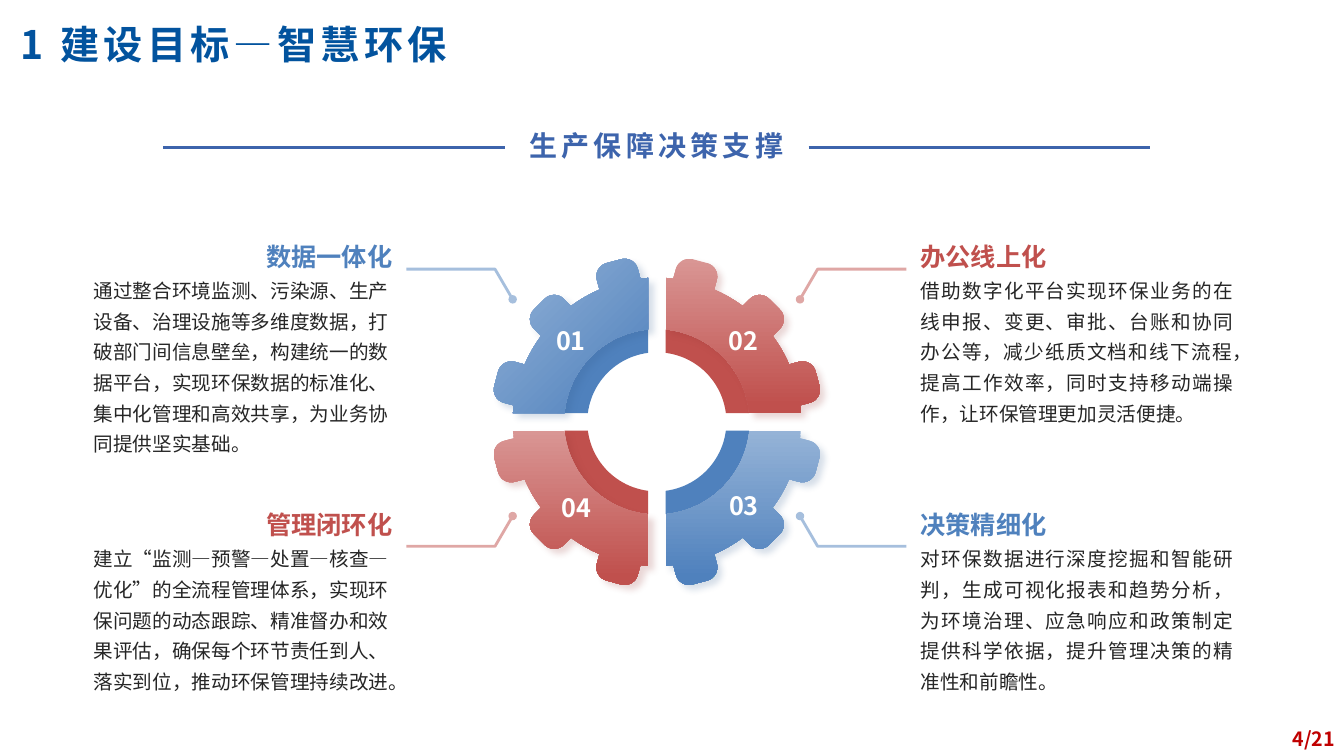
from math import asin, cos, pi, radians, sin

from lxml.etree import SubElement
from pptx import Presentation
from pptx.dml.color import RGBColor
from pptx.enum.shapes import MSO_CONNECTOR
from pptx.enum.text import MSO_ANCHOR, MSO_AUTO_SIZE, PP_ALIGN
from pptx.oxml.ns import qn
from pptx.util import Inches, Pt

FONT = "Noto Sans CJK SC"
NAVY, INDIGO, PAGE_RED, INK, WHITE = "02539E", "3D64AC", "C00000", "262626", "FFFFFF"
BLUE = {"main": "4F81BD", "light": "95B3D7", "shadow": "376092"}
RED = {"main": "C0504D", "light": "D99694", "shadow": "953735"}

GEAR_CENTER = (65.15, 41.85)
LEADER_CENTER = (65.1, 40.45)
HALF_GAP = 0.87
HUB, RIM, BODY, TIP = 6.9, 9.2, 14.3, 16.5
TOOTH_HALF, TOOTH_ROUND = 2.1, 1.35

THEMES = [
    (-1, -1, BLUE, "01", 45, (1, 1.2, 1, 0.4), "数据一体化",
     "通过整合环境监测、污染源、生产设备、治理设施等多维度数据，打破部门间信息壁垒，构建统一的数据平台，实现环保数据的标准化、集中化管理和高效共享，为业务协同提供坚实基础。"),
    (1, -1, RED, "02", 90, (1, 1.2, 0.8, 0.4), "办公线上化",
     "借助数字化平台实现环保业务的在线申报、变更、审批、台账和协同办公等，减少纸质文档和线下流程，提高工作效率，同时支持移动端操作，让环保管理更加灵活便捷。"),
    (1, 1, BLUE, "03", 90, (1.2, 1.2, 1, 1.6), "决策精细化",
     "对环保数据进行深度挖掘和智能研判，生成可视化报表和趋势分析，为环境治理、应急响应和政策制定提供科学依据，提升管理决策的精准性和前瞻性。"),
    (-1, 1, RED, "04", 90, (2, 0.4, 1, 0.4), "管理闭环化",
     "建立“监测—预警—处置—核查—优化”的全流程管理体系，实现环保问题的动态跟踪、精准督办和效果评估，确保每个环节责任到人、落实到位，推动环保管理持续改进。"),
]


def color(hex_string):
    return RGBColor.from_string(hex_string)


def cells(count):
    return Inches(count / 10)


def arc(radius, start, end, steps=24):
    angles = [start + (end - start) * i / steps for i in range(steps + 1)]
    return [(radius * cos(a), radius * sin(a)) for a in angles]


def quarter_arc(radius):
    trim = asin(HALF_GAP / radius)
    return arc(radius, trim, pi / 2 - trim)


def tooth(angle):
    shoulder = TIP - TOOTH_ROUND
    flat = TOOTH_HALF - TOOTH_ROUND
    rounding = arc(TOOTH_ROUND, -pi / 2, 0, 8)
    half = [(BODY - 0.15, -TOOTH_HALF)]
    half += [(shoulder + u, v - flat) for u, v in rounding]
    profile = half + [(u, -v) for u, v in reversed(half)]
    return [(u * cos(angle) - v * sin(angle), u * sin(angle) + v * cos(angle))
            for u, v in profile]


def gear_outline():
    trim = asin(HALF_GAP / BODY)
    half_tooth = asin(TOOTH_HALF / BODY)
    outline, start = [], trim
    for degrees in (15, 45, 75):
        angle = radians(degrees)
        outline += arc(BODY, start, angle - half_tooth, 4) + tooth(angle)
        start = angle + half_tooth
    outline += arc(BODY, start, pi / 2 - trim, 4)
    return outline + quarter_arc(RIM)[::-1]


def ring_outline():
    return quarter_arc(RIM) + quarter_arc(HUB)[::-1]


def mirrored(points, center, side, level):
    return [(center[0] + side * x, center[1] + level * y) for x, y in points]


class SlideBuilder:
    def __init__(self, deck):
        self.font = FONT
        self.slide = deck.slides.add_slide(deck.slide_layouts[5])

    def set_words(self, frame, words, size, ink, bold=True, align=PP_ALIGN.LEFT,
                  leading=1, tracking=0, anchor=MSO_ANCHOR.TOP,
                  insets=(1, 0.5, 1, 0.5), wrap=True):
        frame.auto_size = MSO_AUTO_SIZE.NONE
        frame.word_wrap = wrap
        frame.vertical_anchor = anchor
        (frame.margin_left, frame.margin_top,
         frame.margin_right, frame.margin_bottom) = map(cells, insets)
        paragraph = frame.paragraphs[0]
        paragraph.alignment = align
        paragraph.line_spacing = leading
        run = paragraph.add_run()
        run.text = words
        run.font.size, run.font.bold, run.font.name = Pt(size), bold, self.font
        run.font.color.rgb = color(ink)
        properties = run._r.get_or_add_rPr()
        properties.set("lang", "zh-CN")
        if tracking:
            properties.set("spc", str(tracking * 100))
        SubElement(properties, qn("a:ea")).set("typeface", self.font)

    def title(self, box, words, **style):
        heading = self.slide.shapes.title
        heading.left, heading.top, heading.width, heading.height = map(cells, box)
        self.set_words(heading.text_frame, words, **style)

    def text(self, box, words, **style):
        frame = self.slide.shapes.add_textbox(*map(cells, box)).text_frame
        self.set_words(frame, words, **style)

    def rule(self, left, right, row, ink):
        rule = self.slide.shapes.add_connector(
            MSO_CONNECTOR.STRAIGHT, *map(cells, (left, row, right, row)))
        rule.line.color.rgb = color(ink)
        rule.line.width = Pt(2)
        SubElement(rule.element.spPr, qn("a:effectLst"))

    def outline(self, points, close=True):
        corners = [(cells(x), cells(y)) for x, y in points]
        builder = self.slide.shapes.build_freeform(*corners[0], scale=1.0)
        builder.add_line_segments(corners[1:], close=close)
        figure = builder.convert_to_shape()
        figure.shadow.inherit = False
        return figure

    def leader(self, points, ink):
        leader = self.outline(points, close=False)
        leader.fill.background()
        leader.line.color.rgb = color(ink)
        leader.line.width = Pt(2)
        stroke = leader.element.spPr.find(qn("a:ln"))
        SubElement(stroke.find(".//" + qn("a:srgbClr")), qn("a:alpha")).set("val", "50000")
        SubElement(stroke, qn("a:tailEnd")).set("type", "oval")

    def ring(self, points, ink):
        ring = self.outline(points)
        ring.fill.solid()
        ring.fill.fore_color.rgb = color(ink)
        ring.line.fill.background()

    def gear(self, points, palette, angle, number, insets):
        gear = self.outline(points)
        gear.fill.gradient()
        gear.fill.gradient_angle = 360 - angle
        for stop, tone, position in zip(gear.fill.gradient_stops, ("light", "main"), (0, 0.95)):
            stop.color.rgb = color(palette[tone])
            stop.position = position
        gear.line.fill.background()
        effects = gear.element.spPr.find(qn("a:effectLst"))
        shadow = SubElement(effects, qn("a:outerShdw"), blurRad=str(Pt(5)), dist=str(Pt(5)),
                            dir="2700000", algn="tl", rotWithShape="0")
        tint = SubElement(shadow, qn("a:srgbClr"), val=palette["shadow"])
        SubElement(tint, qn("a:alpha"), val="20000")
        self.set_words(gear.text_frame, number, size=18, ink=WHITE, align=PP_ALIGN.CENTER,
                       anchor=MSO_ANCHOR.MIDDLE, insets=insets, wrap=False)


def main():
    deck = Presentation()
    deck.slide_width, deck.slide_height = Inches(13.33), Inches(7.5)
    page = SlideBuilder(deck)
    page.title((1, 0.7, 72.8, 6.5), "1 建设目标—智慧环保", size=28, ink=NAVY,
               leading=0.9, tracking=3, anchor=MSO_ANCHOR.BOTTOM)
    page.text((124.9, 71.6, 8.5, 5.7), "4/21", size=14, ink=PAGE_RED, align=PP_ALIGN.RIGHT)
    page.text((50, 10.6, 30.2, 6), "生产保障决策支撑", size=20, ink=INDIGO,
              align=PP_ALIGN.CENTER, leading=1.5, tracking=3)
    for left in (16.2, 80.2):
        page.rule(left, left + 33.9, 14.6, INDIGO)

    flush = (0, 0, 0, 0)
    for side, level, palette, number, angle, insets, heading, body in THEMES:
        elbow = [(24.8, 13.75), (16, 13.75), (14.25, 10.75)]
        page.leader(mirrored(elbow, LEADER_CENTER, side, level), palette["main"])
        top = 21.2 if level < 0 else 47.8
        on_left = side < 0
        page.text((12.4 if on_left else 91.3, top, 26.5, 5.7), heading, size=18,
                  ink=palette["main"], align=PP_ALIGN.RIGHT if on_left else PP_ALIGN.JUSTIFY,
                  anchor=MSO_ANCHOR.BOTTOM, insets=flush)
        page.text((9.3 if on_left else 91.3, top + 5.8, 29.6 if on_left else 31, 11.5), body,
                  size=14, ink=INK, bold=False, leading=1.3, insets=flush,
                  align=PP_ALIGN.LEFT if on_left else PP_ALIGN.JUSTIFY)

    for side, level, palette, *_ in THEMES:
        page.ring(mirrored(ring_outline(), GEAR_CENTER, side, level), palette["main"])
    for side, level, palette, number, angle, insets, *_ in THEMES:
        page.gear(mirrored(gear_outline(), GEAR_CENTER, side, level),
                  palette, angle, number, insets)
    deck.save("out.pptx")


if __name__ == "__main__":
    main()
